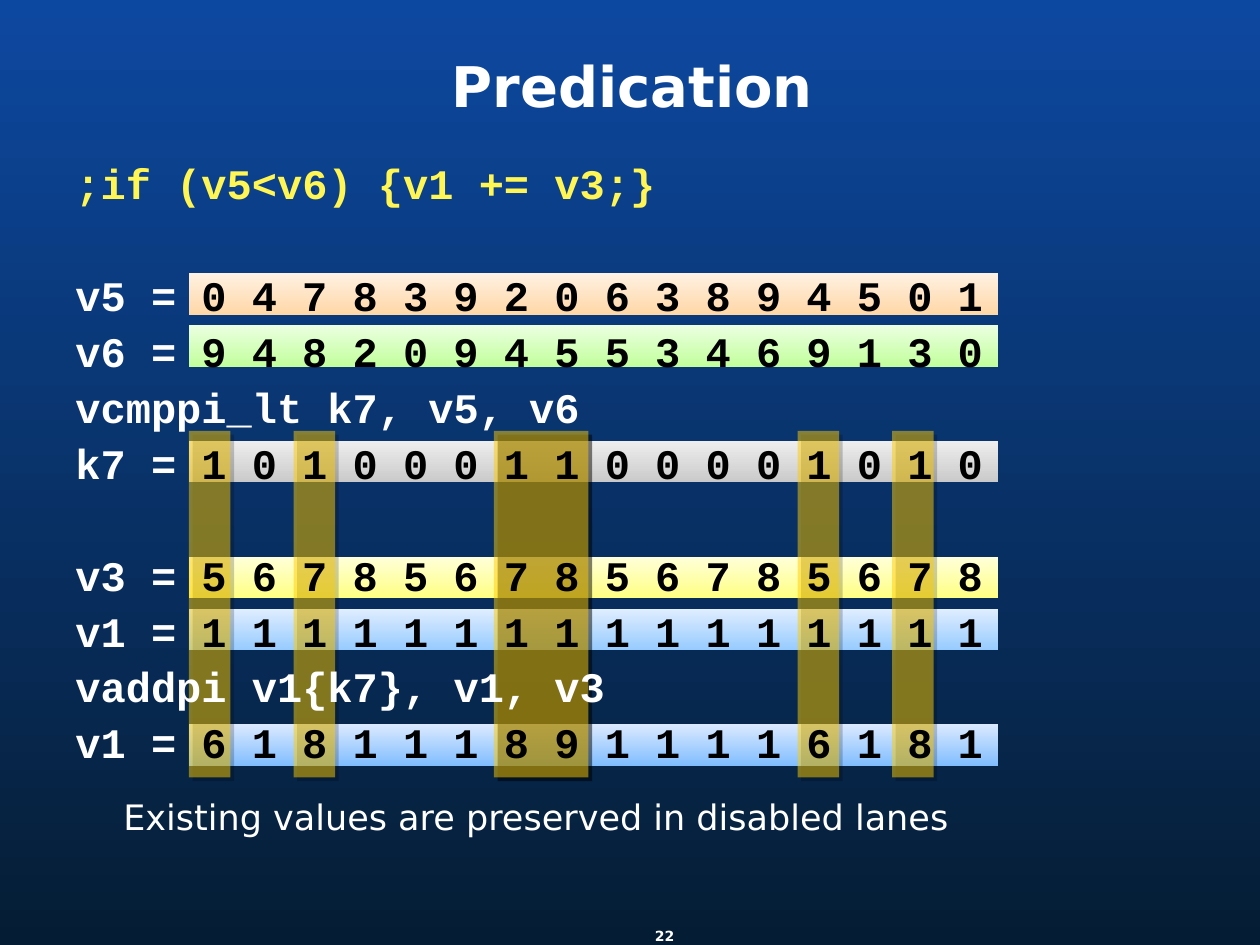
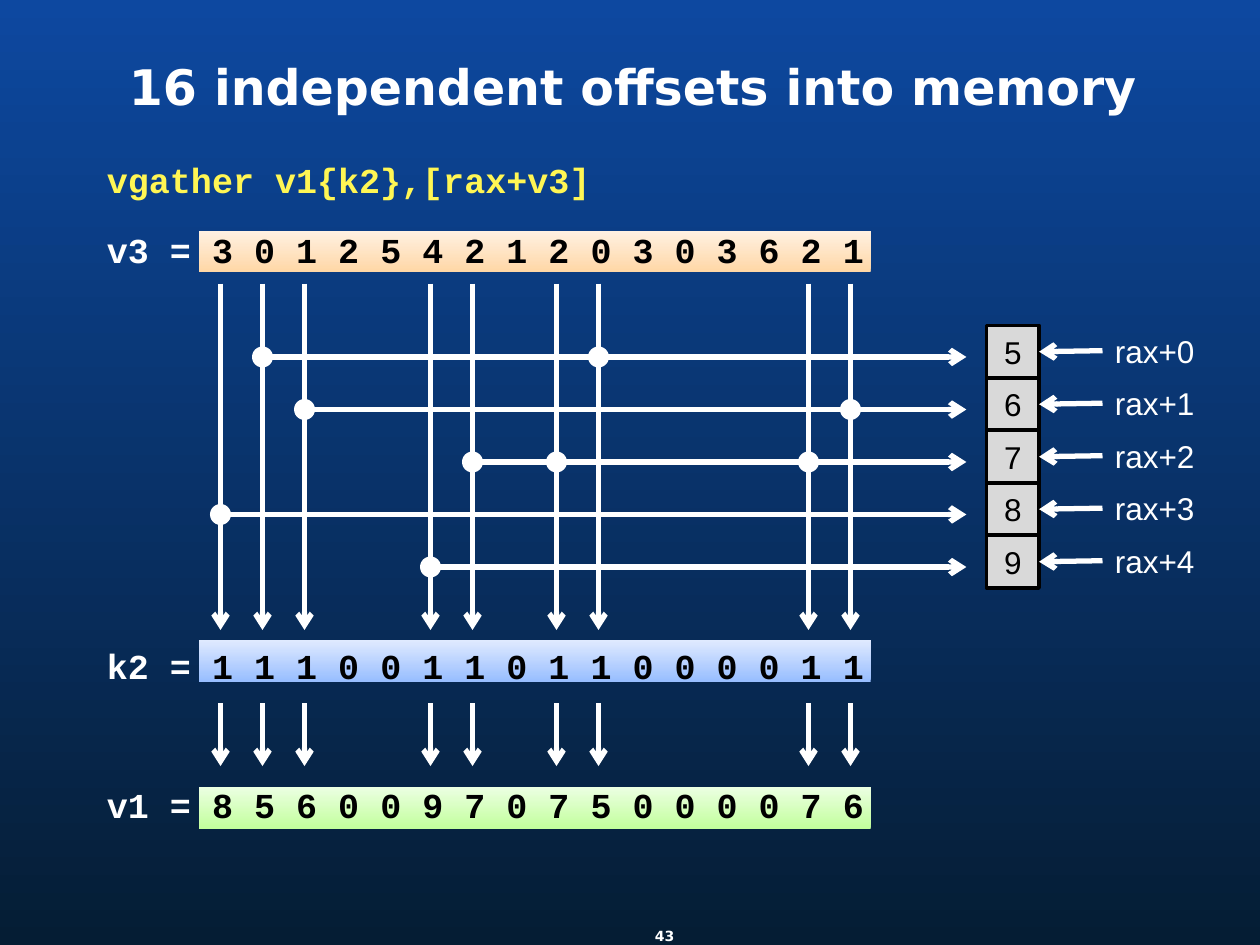
from lxml import etree
from pptx import Presentation
from pptx import util as u
from pptx.dml.color import RGBColor
from pptx.enum import shapes, text
from pptx.oxml.ns import qn

WHITE = RGBColor(0xFF, 0xFF, 0xFF)
BLACK = RGBColor(0, 0, 0)
YELLOW = RGBColor(0xFF, 0xF6, 0x54)
GOLD = RGBColor(0xFF, 0xCC, 0x00)
CELL_GRAY = RGBColor(0xD9, 0xD9, 0xD9)

# Gradients as (bottom, top)
NIGHT = RGBColor(0x05, 0x1D, 0x34), RGBColor(0x0D, 0x48, 0xA0)
ORANGE = RGBColor(0xFF, 0xD7, 0xA6), RGBColor(0xFF, 0xF1, 0xE3)
GREEN = RGBColor(0xC2, 0xFF, 0x9C), RGBColor(0xEB, 0xFF, 0xE1)
GRAY = RGBColor(0xCA, 0xCA, 0xCA), RGBColor(0xEE, 0xEE, 0xEE)
LEMON = RGBColor(0xFF, 0xFF, 0x81), RGBColor(0xFF, 0xFF, 0xDA)
SKY = RGBColor(0x97, 0xCB, 0xFF), RGBColor(0xE0, 0xEE, 0xFF)
AZURE = RGBColor(0x80, 0xBD, 0xFF), RGBColor(0xDA, 0xE9, 0xFF)
BLUE = RGBColor(0x98, 0xBE, 0xFF), RGBColor(0xE0, 0xEA, 0xFF)

TITLE = {"name": "DejaVu Sans", "bold": True}
NUMBER = {"name": "DejaVu Sans", "size": u.Pt(8), "bold": True}
CAPTION = {"name": "DejaVu Sans", "size": u.Pt(20)}
CODE = {"name": "Courier New", "bold": True}
MEMORY = {"name": "Arial", "size": u.Pt(18)}

MIDDLE = text.MSO_ANCHOR.MIDDLE
CENTER = text.PP_ALIGN.CENTER
RECT = shapes.MSO_SHAPE.RECTANGLE
OVAL = shapes.MSO_SHAPE.OVAL
TIGHT = 0.9  # line spacing
CODE_LINE = 1.205 * TIGHT  # line height of code, in ems


def assign(target, values):
    for name, value in values.items():
        setattr(target, name, value)


def add_xml(parent, tag, **attributes):
    return etree.SubElement(parent, qn(tag), attributes)


class Deck:
    def __init__(self):
        self.prs = Presentation()
        self.prs.slide_width, self.prs.slide_height = u.Inches(10), u.Inches(7.5)
        self.slide = None

    def start(self, title, title_size, number):
        self.slide = self.prs.slides.add_slide(self.prs.slide_layouts[6])
        self.gradient(self.slide.background.fill, NIGHT)
        self.label(title, (0.42, 0.25, 9.2, 0.92), TITLE | {"size": u.Pt(title_size)},
                   alignment=CENTER, line_spacing=TIGHT, anchor=MIDDLE)
        self.label(number, (5.05, 7.26, 0.45, 0.33), NUMBER,
                   alignment=CENTER, anchor=MIDDLE, inset=0)

    def gradient(self, fill, colors):
        fill.gradient()
        fill.gradient_angle = 90
        for stop, color in zip(fill.gradient_stops, colors):
            stop.color.rgb = color

    def run(self, paragraph, words, font, color):
        run = paragraph.add_run()
        run.text = words
        assign(run.font, font)
        run.font.color.rgb = color

    def frame(self, box):
        frame = self.slide.shapes.add_textbox(*map(u.Inches, box)).text_frame
        frame.word_wrap = True
        return frame

    def label(self, words, box, font, anchor=text.MSO_ANCHOR.TOP, inset=None, **layout):
        frame = self.frame(box)
        frame.vertical_anchor = anchor
        if inset is not None:
            assign(frame, dict.fromkeys(
                ("margin_left", "margin_right", "margin_top", "margin_bottom"), inset))
        assign(frame.paragraphs[0], layout)
        self.run(frame.paragraphs[0], words, font, WHITE)

    def code(self, box, size, pitch, lines):
        """Lines are (row, label, values); the first is the highlighted statement."""
        frame = self.frame(box)
        font = CODE | {"size": u.Pt(size)}
        previous = None
        for row, label, values in lines:
            if previous is None:
                paragraph = frame.paragraphs[0]
            else:
                paragraph = frame.add_paragraph()
                gap = (row - previous) * pitch - size * CODE_LINE
                paragraph.space_before = u.Pt(round(gap, 1))
            paragraph.line_spacing = TIGHT
            self.run(paragraph, label, font, YELLOW if previous is None else WHITE)
            if values:
                self.run(paragraph, values, font, BLACK)
            previous = row

    def shape(self, box, fill, kind=RECT):
        shape = self.slide.shapes.add_shape(kind, *map(u.Inches, box))
        shape.shadow.inherit = False
        shape.line.fill.background()
        if isinstance(fill, RGBColor):
            shape.fill.solid()
            shape.fill.fore_color.rgb = fill
        else:
            self.gradient(shape.fill, fill)
        return shape

    def stripe(self, box, shadow_alpha):
        properties = self.shape(box, GOLD)._element.spPr
        add_xml(properties.find(".//" + qn("a:srgbClr")), "a:alpha", val="50000")
        shadow = add_xml(properties.find(qn("a:effectLst")), "a:outerShdw",
                         dist=str(u.Pt(3)), dir="2700000", algn="tl", rotWithShape="0")
        black = add_xml(shadow, "a:srgbClr", val="000000")
        add_xml(black, "a:alpha", val=str(shadow_alpha * 1000))

    def cell(self, words, box):
        cell = self.shape(box, CELL_GRAY)
        cell.line.color.rgb = BLACK
        cell.line.width = u.Pt(2.25)
        frame = cell.text_frame
        frame.vertical_anchor = MIDDLE
        frame.paragraphs[0].alignment = CENTER
        self.run(frame.paragraphs[0], words, MEMORY, BLACK)
        return cell

    def arrow(self, x1, y1, x2, y2):
        arrow = self.slide.shapes.add_connector(
            shapes.MSO_CONNECTOR.STRAIGHT, *map(u.Inches, (x1, y1, x2, y2)))
        arrow.line.color.rgb = WHITE
        arrow.line.width = u.Pt(3)
        add_xml(arrow.line._get_or_add_ln(), "a:tailEnd", type="arrow")
        add_xml(arrow._element.spPr, "a:effectLst")
        return arrow


def predication(deck):
    deck.start("Predication", 32, "22")

    # Register bands
    for top, colors in ((5.75, AZURE), (4.83, SKY), (4.42, LEMON),
                        (3.5, GRAY), (2.58, GREEN), (2.17, ORANGE)):
        deck.shape((1.5, top, 6.42, 0.33), colors)

    # Enabled lanes
    for left, width, shadow_alpha in ((6.33, 0.33, 40), (7.08, 0.33, 40), (3.92, 0.75, 50),
                                      (2.33, 0.33, 40), (1.5, 0.33, 40)):
        deck.stripe((left, 3.42, width, 2.75), shadow_alpha)

    # Code and register values
    deck.code((0.5, 1.25, 8.25, 5.33), 24, 32, (
        (0, ";if (v5<v6) {v1 += v3;}", ""),
        (2, "v5 = ", "0 4 7 8 3 9 2 0 6 3 8 9 4 5 0 1"),
        (3, "v6 = ", "9 4 8 2 0 9 4 5 5 3 4 6 9 1 3 0"),
        (4, "vcmppi_lt k7, v5, v6", ""),
        (5, "k7 = ", "1 0 1 0 0 0 1 1 0 0 0 0 1 0 1 0"),
        (7, "v3 = ", "5 6 7 8 5 6 7 8 5 6 7 8 5 6 7 8"),
        (8, "v1 = ", "1 1 1 1 1 1 1 1 1 1 1 1 1 1 1 1"),
        (9, "vaddpi v1{k7}, v1, v3", ""),
        (10, "v1 = ", "6 1 8 1 1 1 8 9 1 1 1 1 6 1 8 1")))
    deck.label("Existing values are preserved in disabled lanes",
               (0.88, 6.3, 8.62, 0.45), CAPTION, line_spacing=TIGHT)


def gather(deck):
    deck.start("16 independent offsets into memory", 28, "43")
    offsets = "3 0 1 2 5 4 2 1 2 0 3 0 3 6 2 1"
    mask = "1 1 1 0 0 1 1 0 1 1 0 0 0 0 1 1"
    row_step = 5 / 12
    dot = 1 / 6

    # Register bands
    for top, colors in ((1.83, ORANGE), (5.08, BLUE), (6.25, GREEN)):
        deck.shape((1.58, top, 5.33, 0.33), colors)

    # Memory cells with their addresses
    memory_top = 31 / 12
    for offset, value in enumerate("56789"):
        top = memory_top + offset * row_step
        cell = deck.cell(value, (7.83, top, row_step, row_step))
        deck.label(f"rax+{offset}", (8.75, top, 0.83, 0.4), MEMORY)
        deck.arrow(8.75, top + 0.2, 8.25, top + 0.21).end_connect(cell, 3)

    deck.code((0.75, 1.25, 8.75, 5.45), 20, 39.7, (
        (0, "vgather v1{k2},[rax+v3]", ""),
        (1, "v3 = ", offsets),
        (7, "k2 = ", mask),
        (9, "v1 = ", "8 5 6 0 0 9 7 0 7 5 0 0 0 0 7 6")))

    # Enabled lanes run down through the mask to the result
    lanes = [(1.75 + lane / 3, int(offset))
             for lane, (offset, bit) in enumerate(zip(offsets.split(), mask.split()))
             if bit == "1"]
    for x, _ in lanes:
        deck.arrow(x, 2.25, x, 5)
        deck.arrow(x, 5.58, x, 6.08)

    # Each offset in use leads to its memory cell
    for offset in range(5):
        y = memory_top + 0.25 + offset * row_step
        hits = [x for x, lane_offset in lanes if lane_offset == offset]
        deck.arrow(hits[0], y, 7.67, y)
        for x in hits:
            deck.shape((x - dot / 2, y - dot / 2, dot, dot), WHITE, OVAL)


def main():
    deck = Deck()
    predication(deck)
    gather(deck)
    deck.prs.save("out.pptx")


if __name__ == "__main__":
    main()
